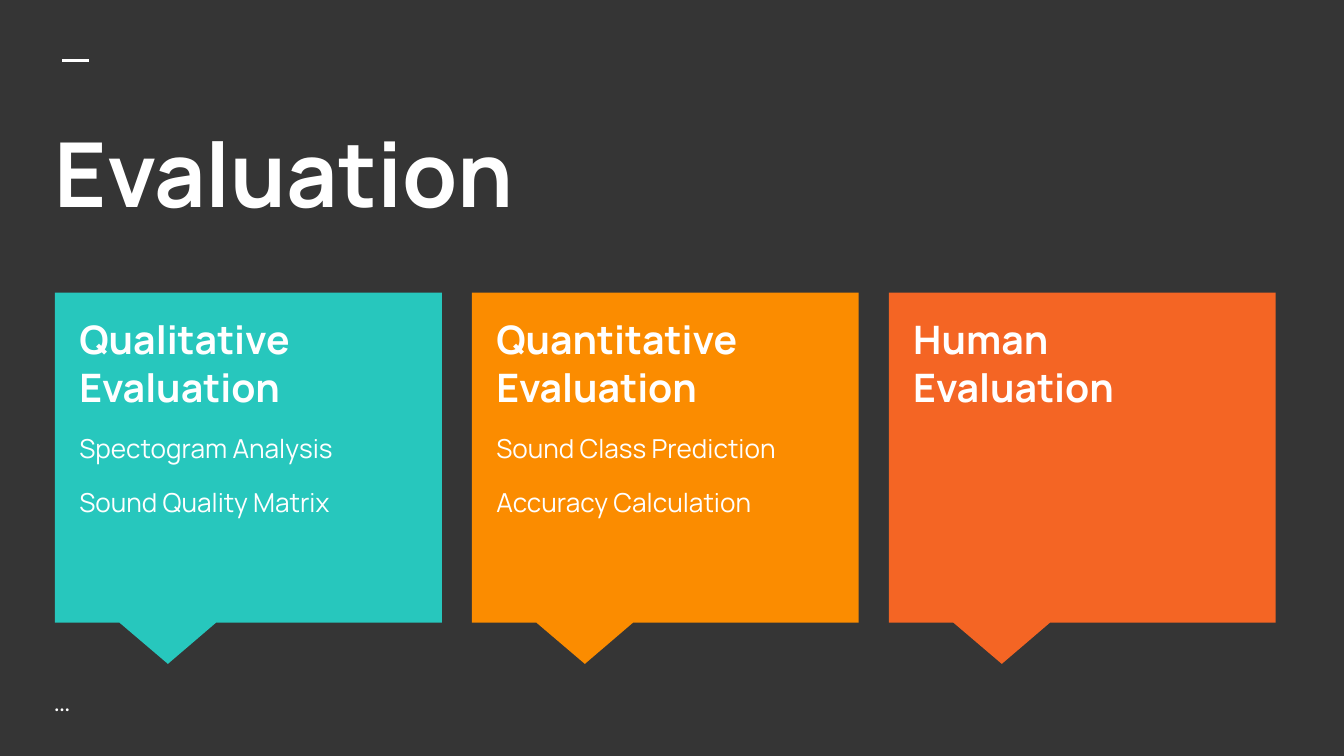
from dataclasses import dataclass

from lxml.etree import SubElement
from pptx import Presentation
from pptx.dml.color import RGBColor
from pptx.enum.shapes import MSO_CONNECTOR, MSO_SHAPE
from pptx.enum.text import MSO_ANCHOR, PP_ALIGN
from pptx.oxml.ns import qn
from pptx.slide import Slide
from pptx.util import Cm, Pt

COLOURS = {
    "background": "353535",
    "text": "FFFFFF",
    "teal": "27C7BD",
    "amber": "FB8C00",
    "orange": "F46524",
}
CARD_LEFT, CARD_TOP = 1.04, 5.53
CARD_WIDTH, CARD_HEIGHT = 7.31, 6.24
CARD_PITCH = 7.88


@dataclass(frozen=True)
class Line:
    text: str
    size: float
    bold: bool = False
    italic: bool = False
    font: str = "Manrope"
    before: float = 0
    after: float = 0


@dataclass(frozen=True)
class Card:
    heading: str
    colour: str
    details: tuple[str, ...] = ()


CARDS = (
    Card("Qualitative Evaluation", "teal", ("Spectogram Analysis", "Sound Quality Matrix")),
    Card("Quantitative Evaluation", "amber", ("Sound Class Prediction", "Accuracy Calculation")),
    Card("Human Evaluation", "orange"),
)


def colour(name: str) -> RGBColor:
    return RGBColor.from_string(COLOURS[name])


def add_text(slide: Slide, left: float, top: float, width: float, height: float,
             lines: list[Line], anchor: MSO_ANCHOR = MSO_ANCHOR.TOP) -> None:
    shape = slide.shapes.add_textbox(Cm(left), Cm(top), Cm(width), Cm(height))
    frame = shape.text_frame
    frame.word_wrap = True
    frame.vertical_anchor = anchor
    frame.margin_left = frame.margin_right = Cm(0.25)
    frame.margin_top = frame.margin_bottom = Cm(0.25)
    for index, line in enumerate(lines):
        paragraph = frame.add_paragraph() if index else frame.paragraphs[0]
        paragraph.alignment = PP_ALIGN.LEFT
        paragraph.space_before = Pt(line.before)
        paragraph.space_after = Pt(line.after)
        run = paragraph.add_run()
        run.text = line.text
        run.font.name = line.font
        run.font.size = Pt(line.size)
        run.font.bold = line.bold
        run.font.italic = line.italic
        run.font.color.rgb = colour("text")


def add_card(slide: Slide, card: Card, left: float) -> None:
    shape = slide.shapes.add_shape(
        MSO_SHAPE.RECTANGULAR_CALLOUT,
        Cm(left), Cm(CARD_TOP), Cm(CARD_WIDTH), Cm(CARD_HEIGHT))
    shape.adjustments[0] = -0.208
    shape.adjustments[1] = 0.625
    shape.shadow.inherit = False
    shape.fill.solid()
    shape.fill.fore_color.rgb = colour(card.colour)
    shape.line.fill.background()
    last = len(card.details) - 1
    lines = [Line(card.heading, 21, bold=True)]
    lines += [Line(detail, 14, before=12, after=12 if index == last else 0)
              for index, detail in enumerate(card.details)]
    add_text(slide, left + 0.21, CARD_TOP + 0.19, 6.88, 5.56, lines)


def add_accent(slide: Slide) -> None:
    connector = slide.shapes.add_connector(
        MSO_CONNECTOR.STRAIGHT, Cm(1.18), Cm(1.15), Cm(1.69), Cm(1.15))
    connector.line.color.rgb = colour("text")
    connector.line.width = Pt(1.5)
    SubElement(connector._element.spPr, qn("a:effectLst"))


def main() -> None:
    presentation = Presentation()
    presentation.slide_width = Cm(25.4)
    presentation.slide_height = Cm(14.29)
    slide = presentation.slides.add_slide(presentation.slide_layouts[6])
    slide.background.fill.solid()
    slide.background.fill.fore_color.rgb = colour("background")

    add_accent(slide)
    add_text(slide, 0.79, 1.98, 23.95, 2.84, [Line("Evaluation", 48, bold=True)])
    for index, card in enumerate(CARDS):
        add_card(slide, card, CARD_LEFT + index * CARD_PITCH)
    add_text(slide, 0.79, 12.93, 17.35, 0.71,
             [Line("...", 12, italic=True, font="Lato")], MSO_ANCHOR.MIDDLE)

    presentation.save("out.pptx")


if __name__ == "__main__":
    main()
